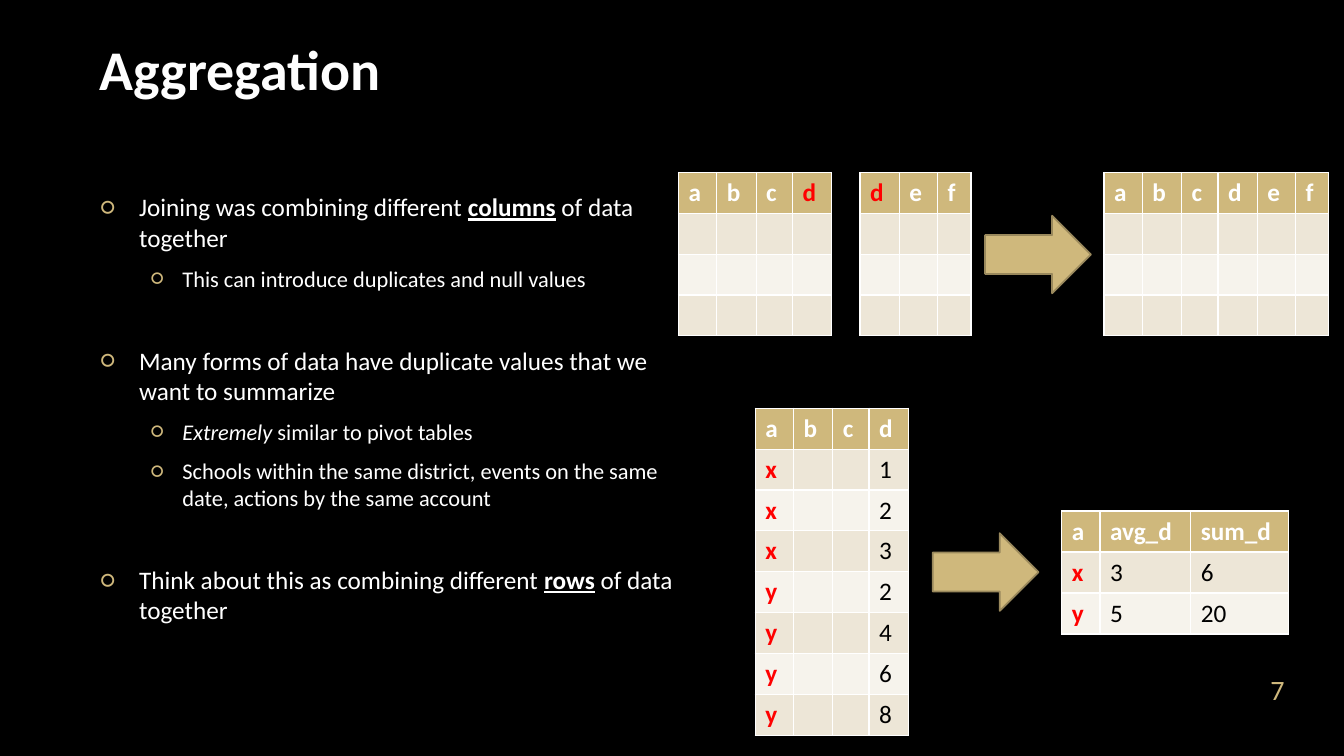
from lxml.etree import SubElement
from pptx import Presentation
from pptx.dml.color import RGBColor
from pptx.enum.shapes import MSO_SHAPE
from pptx.enum.text import MSO_ANCHOR, MSO_AUTO_SIZE, PP_ALIGN
from pptx.oxml.ns import qn
from pptx.util import Inches, Pt

FACE = "Calibri"
GOLD, RED, WHITE, BLACK = "CFB87C", "FF0000", "FFFFFF", "000000"
BANDS = ["F6F3EC", "EDE6D7"]
WIDE = {"a": 0.38, "b": 0.39, "c": 0.36, "d": 0.39, "e": 0.38, "f": 0.33,
        "avg_d": 0.9, "sum_d": 0.97}
# Each point: level, gap above in points, runs of text and style
POINTS = [
    (0, 3.5, [("Joining was combining different ", ""), ("columns", "bu"),
              (" of data together", "")]),
    (1, 3, [("This can introduce duplicates and null values", "")]),
    (0, 32, [("Many forms of data have duplicate values that we want to summarize", "")]),
    (1, 3, [("Extremely ", "i"), ("similar to pivot tables", "")]),
    (1, 3, [("Schools within the same district, events on the same date, "
             "actions by the same account", "")]),
    (0, 32, [("Think about this as combining different ", ""), ("rows", "bu"),
             (" of data together", "")]),
]


def tint(part, color):
    """Give a fill or font a solid colour."""
    if hasattr(part, "solid"):
        part.solid()
        part.fore_color.rgb = RGBColor.from_string(color)
    else:
        part.color.rgb = RGBColor.from_string(color)


def style(para, size, color, bold=False):
    font = para.font
    font.name, font.size, font.bold = FACE, Pt(size), bold
    tint(font, color)


def place(shape, box):
    shape.left, shape.top, shape.width, shape.height = map(Inches, box)


def add_title(slide, box, text):
    title = slide.shapes.title
    place(title, box)
    frame = title.text_frame
    frame.text = text
    frame.auto_size = MSO_AUTO_SIZE.NONE
    frame.vertical_anchor = MSO_ANCHOR.BOTTOM
    para = frame.paragraphs[0]
    para.alignment = PP_ALIGN.LEFT
    style(para, 40, "FEFEFE", True)


def add_bullet(para, left, hang):
    props = para._p.get_or_add_pPr()
    props.set("marL", str(Inches(left)))
    props.set("indent", str(-Inches(hang)))
    SubElement(SubElement(props, qn("a:buClr")), qn("a:srgbClr")).set("val", GOLD)
    SubElement(props, qn("a:buFont")).set("typeface", FACE)
    SubElement(props, qn("a:buChar")).set("char", "○")


def add_points(slide, box):
    body = slide.placeholders[1]
    place(body, box)
    frame = body.text_frame
    frame.auto_size = MSO_AUTO_SIZE.NONE
    frame.vertical_anchor = MSO_ANCHOR.MIDDLE
    for index, (level, gap, runs) in enumerate(POINTS):
        para = frame.add_paragraph() if index else frame.paragraphs[0]
        para.level = level
        para.space_before, para.space_after = Pt(gap), Pt(6)
        add_bullet(para, *[(0.38, 0.38), (0.81, 0.31)][level])
        style(para, 18 - 2 * level, WHITE)
        for text, marks in runs:
            run = para.add_run()
            run.text = text
            if "b" in marks:
                run.font.bold = run.font.underline = True
            if "i" in marks:
                run.font.italic = True


def add_grid(slide, box, heads, rows, key=""):
    """Draw a banded table; key names a head shown in red."""
    left, top, height = box
    size = len(rows) + 1
    width = sum(WIDE[head] for head in heads)
    table = slide.shapes.add_table(size, len(heads), *map(Inches, (left, top, width, height))).table
    for col, head in zip(table.columns, heads):
        col.width = Inches(WIDE[head])
    for r, texts in enumerate([heads, *rows]):
        table.rows[r].height = Inches(height / size)
        for c, text in enumerate(texts):
            cell = table.cell(r, c)
            cell.text = text
            tint(cell.fill, BANDS[r % 2] if r else GOLD)
            if r:
                color = BLACK if c else RED
            else:
                color = RED if text == key else WHITE
            style(cell.text_frame.paragraphs[0], 18, color, color != BLACK)


def add_arrow(slide, left, top):
    arrow = slide.shapes.add_shape(MSO_SHAPE.RIGHT_ARROW, *map(Inches, (left, top, 1.05, 0.77)))
    arrow.shadow.inherit = False
    tint(arrow.fill, GOLD)
    tint(arrow.line, "99885C")
    arrow.line.width = Pt(1.25)


def add_joins(slide, left, top):
    """Two tables joined by columns into one."""
    for shift, heads, key in [(0, "abcd", "d"), (1.8, "def", "d"), (4.22, "abcdef", "")]:
        blank = [[""] * len(heads)] * 3
        add_grid(slide, (left + shift, top, 1.62), list(heads), blank, key)
    add_arrow(slide, left + 3.04, top + 0.43)


def add_groups(slide, left, top):
    """A table whose rows are summed up by key."""
    rows = [[key, "", "", value] for key, value in zip("xxxyyyy", "1232468")]
    add_grid(slide, (left, top, 3.24), list("abcd"), rows)
    add_arrow(slide, left + 1.76, top + 1.24)
    add_grid(slide, (left + 3.04, top + 1.02, 1.22), ["a", "avg_d", "sum_d"],
             [["x", "3", "6"], ["y", "5", "20"]])


def add_number(slide, box, text):
    frame = slide.shapes.add_textbox(*map(Inches, box)).text_frame
    frame.word_wrap = True
    frame.vertical_anchor = MSO_ANCHOR.BOTTOM
    frame.margin_bottom = Inches(0.01)
    frame.text = text
    para = frame.paragraphs[0]
    para.alignment = PP_ALIGN.RIGHT
    style(para, 20, GOLD)


def main():
    deck = Presentation()
    deck.slide_width, deck.slide_height = Inches(13.33), Inches(7.5)
    slide = deck.slides.add_slide(deck.slide_layouts[1])
    tint(slide.background.fill, BLACK)
    add_title(slide, (0.89, 0, 11.56, 1.06), "Aggregation")
    add_points(slide, (0.9, 1.55, 6.05, 5))
    add_joins(slide, 6.73, 1.71)
    add_groups(slide, 7.49, 4.05)
    add_number(slide, (11.68, 6.47, 1.16, 0.54), "7")
    deck.save("out.pptx")


if __name__ == "__main__":
    main()
